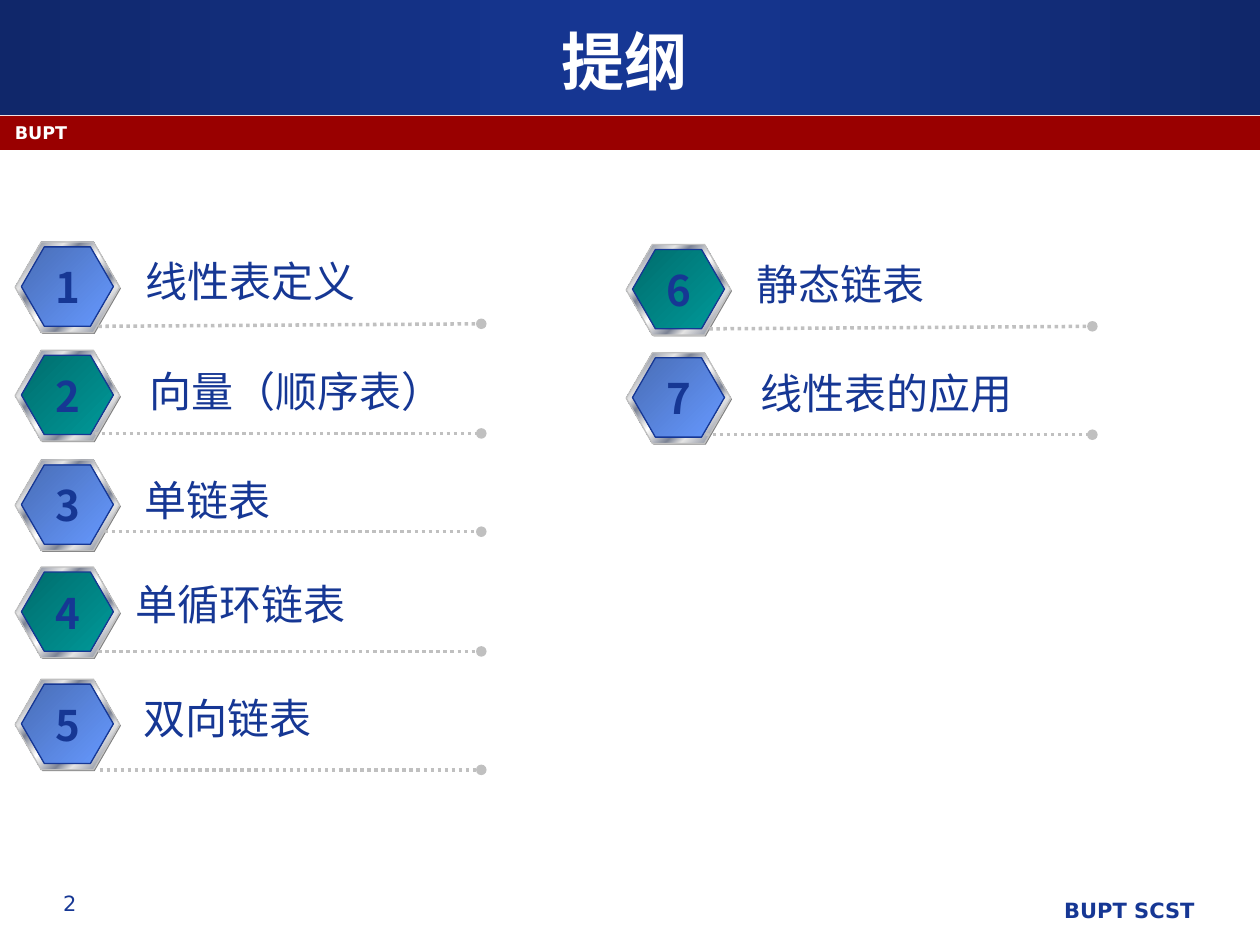
from dataclasses import dataclass

from lxml.etree import SubElement
from pptx import Presentation
from pptx.dml.color import RGBColor
from pptx.enum.dml import MSO_LINE
from pptx.enum.shapes import MSO_CONNECTOR, MSO_SHAPE
from pptx.enum.text import MSO_ANCHOR, PP_ALIGN as AL
from pptx.oxml.ns import qn
from pptx.util import Inches, Pt

NAVY, WHITE, RED, SILVER, GRAY = "163794", "FFFFFF", "990000", "C0C0C0", "808080"
SANS, CJK = "DejaVu Sans", "Noto Sans CJK SC"
BANNER = [(0, "10276A"), (50, NAVY), (100, "10276A")]
CHROME = [(0, "E6E6E6"), (8, "7D8496"), (26, "E6E6E6"), (34, "7D8496"),
          (46, "E6E6E6"), (50, WHITE), (54, "E6E6E6"), (66, "7D8496"),
          (74, "E6E6E6"), (92, "7D8496"), (100, "E6E6E6")]
BLUE = [(0, "496DB6"), (100, "6699FF")]
TEAL = [(0, "006D6D"), (100, "009999")]


@dataclass
class Item:
    label: str
    x: float
    y: float
    text_x: float
    text_y: float
    text_w: float
    rule_x: float
    rule_y: float
    rule_end_y: float


LEFT, RIGHT = 0.12, 4.97
RULE_END = 3.7

ITEMS = [
    Item("线性表定义", LEFT, 1.92, 1.06, 1.98, 1.87, 0.78, 2.59, 2.57),
    Item("向量（顺序表）", LEFT, 2.78, 1.09, 2.85, 2.53, 0.75, 3.44, 3.44),
    Item("单链表", LEFT, 3.65, 1.05, 3.72, 1.2, 0.83, 4.22, 4.22),
    Item("单循环链表", LEFT, 4.5, 0.98, 4.54, 1.87, 0.78, 5.17, 5.17),
    Item("双向链表", LEFT, 5.39, 1.04, 5.45, 1.53, 0.79, 6.11, 6.11),
    Item("静态链表", RIGHT, 1.94, 5.91, 2, 1.53, 5.63, 2.61, 2.59),
    Item("线性表的应用", RIGHT, 2.8, 5.94, 2.87, 2.2, 5.6, 3.45, 3.45),
]


def rgb(value: str) -> RGBColor:
    return RGBColor.from_string(value)


def paint(sp, fill: str | list, angle: int = 0) -> None:
    if isinstance(fill, str):
        sp.fill.solid()
        sp.fill.fore_color.rgb = rgb(fill)
        return
    sp.fill.gradient()
    sp.fill.gradient_angle = (360 - angle) % 360
    stops = next(sp._element.spPr.iter(qn("a:gsLst")))
    stops.clear()
    for pos, color in fill:
        gs = SubElement(stops, qn("a:gs"), pos=str(pos * 1000))
        SubElement(gs, qn("a:srgbClr"), val=color)


def add_box(shapes, kind, x: float, y: float, w: float, h: float,
            fill: str | list, angle: int = 0, line: str | None = None):
    sp = shapes.add_shape(kind, Inches(x), Inches(y), Inches(w), Inches(h))
    sp.shadow.inherit = False
    paint(sp, fill, angle)
    if line:
        sp.line.color.rgb = rgb(line)
        sp.line.width = Pt(0.75)
    else:
        sp.line.fill.background()
    return sp


def add_run(p, text: str, size: float, font: str, color: str, bold: bool) -> None:
    r = p.add_run()
    r.text = text
    r.font.size = Pt(size)
    r.font.name = font
    r.font.bold = bold
    r.font.color.rgb = rgb(color)
    SubElement(r._r.get_or_add_rPr(), qn("a:ea"), typeface=font)


def add_text(s, text: str, x: float, y: float, w: float, h: float, size: float = 24,
             font: str = CJK, color: str = NAVY, bold: bool = False,
             align=AL.LEFT, wrap: bool = False) -> None:
    tf = s.shapes.add_textbox(Inches(x), Inches(y), Inches(w), Inches(h)).text_frame
    tf.word_wrap = wrap
    p = tf.paragraphs[0]
    p.alignment = align
    add_run(p, text, size, font, color, bold)


def add_badge(s, x: float, y: float, face: list) -> None:
    shapes = s.shapes.add_group_shape().shapes
    layers = [
        (0.01, 0.01, 0.83, 0.72, GRAY, None),
        (0, 0, 0.83, 0.72, CHROME, SILVER),
        (0.05, 0.04, 0.73, 0.63, face, NAVY),
    ]
    for dx, dy, w, h, fill, line in layers:
        sp = add_box(shapes, MSO_SHAPE.HEXAGON, x + dx, y + dy, w, h, fill, 45, line)
        sp.adjustments[0] = 0.289


def add_rule(s, x1: float, y1: float, x2: float, y2: float) -> None:
    cn = s.shapes.add_connector(MSO_CONNECTOR.STRAIGHT, Inches(x1), Inches(y1),
                                Inches(x2), Inches(y2))
    cn.line.color.rgb = rgb(SILVER)
    cn.line.width = Pt(2)
    cn.line.dash_style = MSO_LINE.ROUND_DOT
    SubElement(cn.line._get_or_add_ln(), qn("a:tailEnd"), type="oval")
    SubElement(cn._element.spPr, qn("a:effectLst"))


def add_item(s, number: int, item: Item) -> None:
    add_badge(s, item.x, item.y, BLUE if number % 2 else TEAL)
    add_rule(s, item.rule_x, item.rule_y, item.x + RULE_END, item.rule_end_y)
    add_text(s, item.label, item.text_x, item.text_y, item.text_w, 0.5)
    add_text(s, str(number), item.x + 0.22, item.y + 0.11, 0.37, 0.5,
             bold=True, align=AL.CENTER)


def add_title(s, text: str) -> None:
    sp = s.shapes.title
    sp.left, sp.top, sp.width, sp.height = (Inches(v) for v in (0.33, 0.17, 9.25, 0.62))
    tf = sp.text_frame
    tf.vertical_anchor = MSO_ANCHOR.MIDDLE
    p = tf.paragraphs[0]
    p.alignment = AL.CENTER
    add_run(p, text, 36, SANS, WHITE, True)


def main() -> None:
    prs = Presentation()
    prs.slide_width, prs.slide_height = Inches(10), Inches(7.5)
    s = prs.slides.add_slide(prs.slide_layouts[5])
    add_box(s.shapes, MSO_SHAPE.RECTANGLE, 0, 0, 10, 0.91, BANNER)
    add_box(s.shapes, MSO_SHAPE.RECTANGLE, 0, 0.92, 10, 0.27, RED)
    title = s.shapes.title._element
    title.getparent().append(title)
    add_title(s, "提纲")
    add_text(s, "BUPT SCST", 4.21, 7.07, 5.37, 0.35, 12, SANS, NAVY, True, AL.RIGHT, True)
    add_text(s, "2", 0.12, 7.02, 0.87, 0.35, 12, SANS, NAVY, False, AL.CENTER, True)
    add_text(s, "BUPT", 0.02, 0.92, 9.25, 0.25, 10, SANS, WHITE, True, AL.LEFT, True)
    for number, item in enumerate(ITEMS, 1):
        add_item(s, number, item)
    prs.save("out.pptx")


if __name__ == "__main__":
    main()
